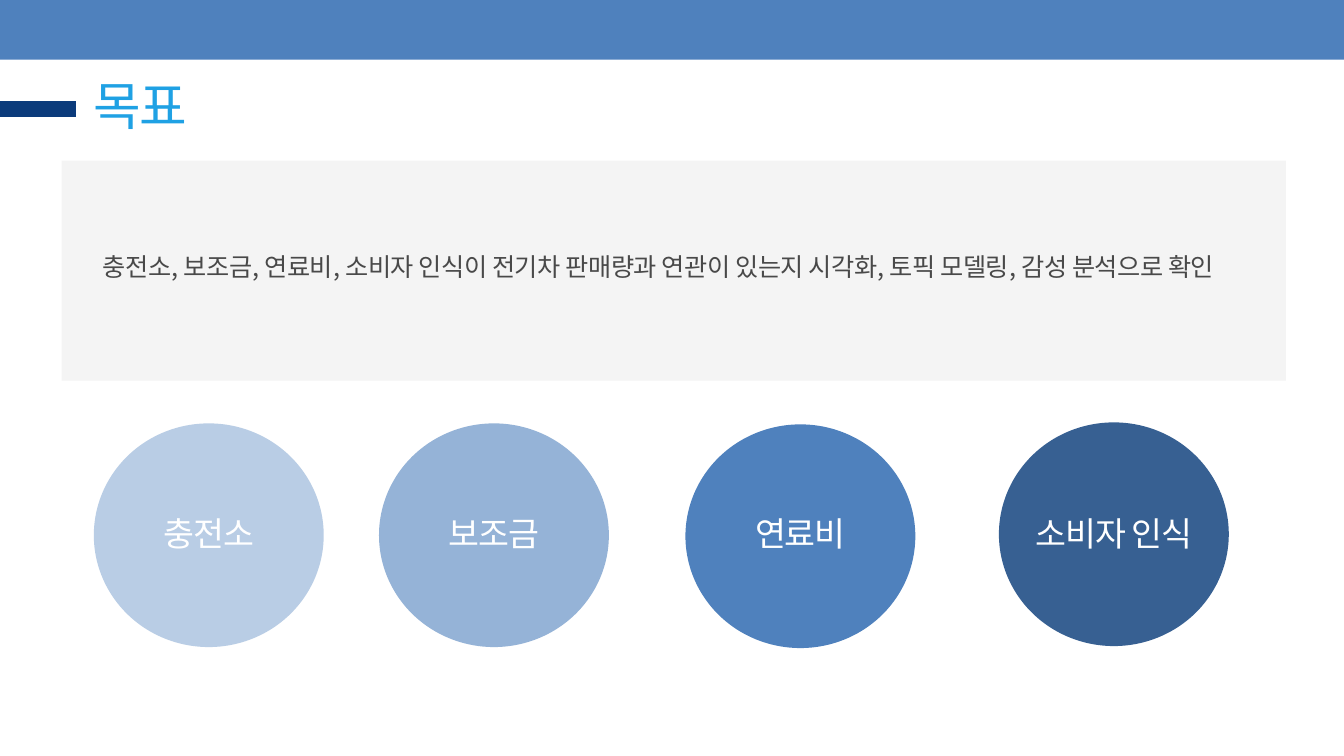
from dataclasses import dataclass

from lxml.etree import SubElement as Sub
from pptx import Presentation as Deck
from pptx.dml.color import RGBColor as Rgb
from pptx.enum.shapes import MSO_CONNECTOR as Link, MSO_SHAPE as Form
from pptx.enum.text import MSO_ANCHOR as Anchor, MSO_AUTO_SIZE as Fit, PP_ALIGN as Align
from pptx.oxml.ns import qn
from pptx.shapes.autoshape import Shape
from pptx.slide import Slide
from pptx.util import Pt


@dataclass(frozen=True)
class Theme:
    font: str = "Noto Sans CJK KR"
    blue: str = "4F81BD"
    navy: str = "0B3B7B"
    sky: str = "1FA1E4"
    panel: str = "F4F4F4"
    ink: str = "494949"
    white: str = "FFFFFF"
    title: float = 37
    label: float = 24
    body: float = 18


@dataclass(frozen=True)
class Box:
    left: float
    top: float
    width: float
    height: float


@dataclass(frozen=True)
class Topic:
    text: str
    left: float
    top: float
    fill: str


THEME = Theme()
DISC_W, DISC_H = 164.2, 159.8
LABEL_W, LABEL_H, LABEL_TOP = 113, 25.2, 370
TOPICS = (
    Topic("충전소", 67, 302.4, "B9CDE5"),
    Topic("보조금", 270.7, 302.4, "95B3D7"),
    Topic("연료비", 489.6, 303.1, THEME.blue),
    Topic("소비자 인식", 713.5, 301.7, "376092"),
)
GOAL = ("충전소, 보조금, 연료비, 소비자 인식이 전기차 판매량과 연관이 있는지 "
        "시각화, 토픽 모델링, 감성 분석으로 확인")


def place(shape: Shape, box: Box) -> None:
    shape.left, shape.top = Pt(box.left), Pt(box.top)
    shape.width, shape.height = Pt(box.width), Pt(box.height)


def write(shape: Shape, text: str, *, size: float, color: str, lead: float,
          track: float, align: Align) -> None:
    frame = shape.text_frame
    frame.word_wrap = True
    frame.auto_size = Fit.NONE
    frame.vertical_anchor = Anchor.TOP
    frame.margin_left = frame.margin_right = 0
    frame.margin_top = frame.margin_bottom = 0
    para = frame.paragraphs[0]
    para.alignment = align
    para.line_spacing = Pt(lead)
    para.space_before = Pt(0)
    run = para.add_run()
    run.text = text
    run.font.size = Pt(size)
    run.font.name = THEME.font
    run.font.color.rgb = Rgb.from_string(color)
    props = run.font._element
    props.set("spc", str(round(track * 100)))
    Sub(props, qn("a:ea"), typeface=THEME.font)


def paint(slide: Slide, form: Form, box: Box, fill: str) -> None:
    shape = slide.shapes.add_shape(form, 0, 0, 0, 0)
    place(shape, box)
    shape.shadow.inherit = False
    shape.fill.solid()
    shape.fill.fore_color.rgb = Rgb.from_string(fill)
    shape.line.fill.background()


def label(slide: Slide, box: Box) -> Shape:
    shape = slide.shapes.add_textbox(0, 0, 0, 0)
    place(shape, box)
    return shape


def dash(slide: Slide, right: float, y: float) -> None:
    line = slide.shapes.add_connector(Link.STRAIGHT, 0, Pt(y), Pt(right), Pt(y))
    line.line.color.rgb = Rgb.from_string(THEME.navy)
    line.line.width = Pt(11.25)
    Sub(line._element.spPr, qn("a:effectLst"))


def draw(slide: Slide, topic: Topic) -> None:
    paint(slide, Form.OVAL, Box(topic.left, topic.top, DISC_W, DISC_H), topic.fill)
    left = topic.left + (DISC_W - LABEL_W) / 2
    write(label(slide, Box(left, LABEL_TOP, LABEL_W, LABEL_H)), topic.text,
          size=THEME.label, color=THEME.white, lead=25, track=-0.8,
          align=Align.CENTER)


def main() -> None:
    deck = Deck()
    deck.slide_width, deck.slide_height = Pt(960), Pt(540)
    slide = deck.slides.add_slide(deck.slide_layouts[5])
    title = slide.shapes.title
    place(title, Box(67, 53.3, 347, 44.6))
    write(title, "목표", size=THEME.title, color=THEME.sky, lead=44,
          track=-1.5, align=Align.LEFT)
    dash(slide, 54, 77.8)
    paint(slide, Form.RECTANGLE, Box(44, 114.8, 874.6, 157), THEME.panel)
    paint(slide, Form.RECTANGLE, Box(0, 0, 960, 42.6), THEME.blue)
    for topic in TOPICS:
        draw(slide, topic)
    write(label(slide, Box(73.4, 184.1, 815.8, 52)), GOAL, size=THEME.body,
          color=THEME.ink, lead=16.8, track=-0.3, align=Align.JUSTIFY)
    deck.save("out.pptx")


if __name__ == "__main__":
    main()
